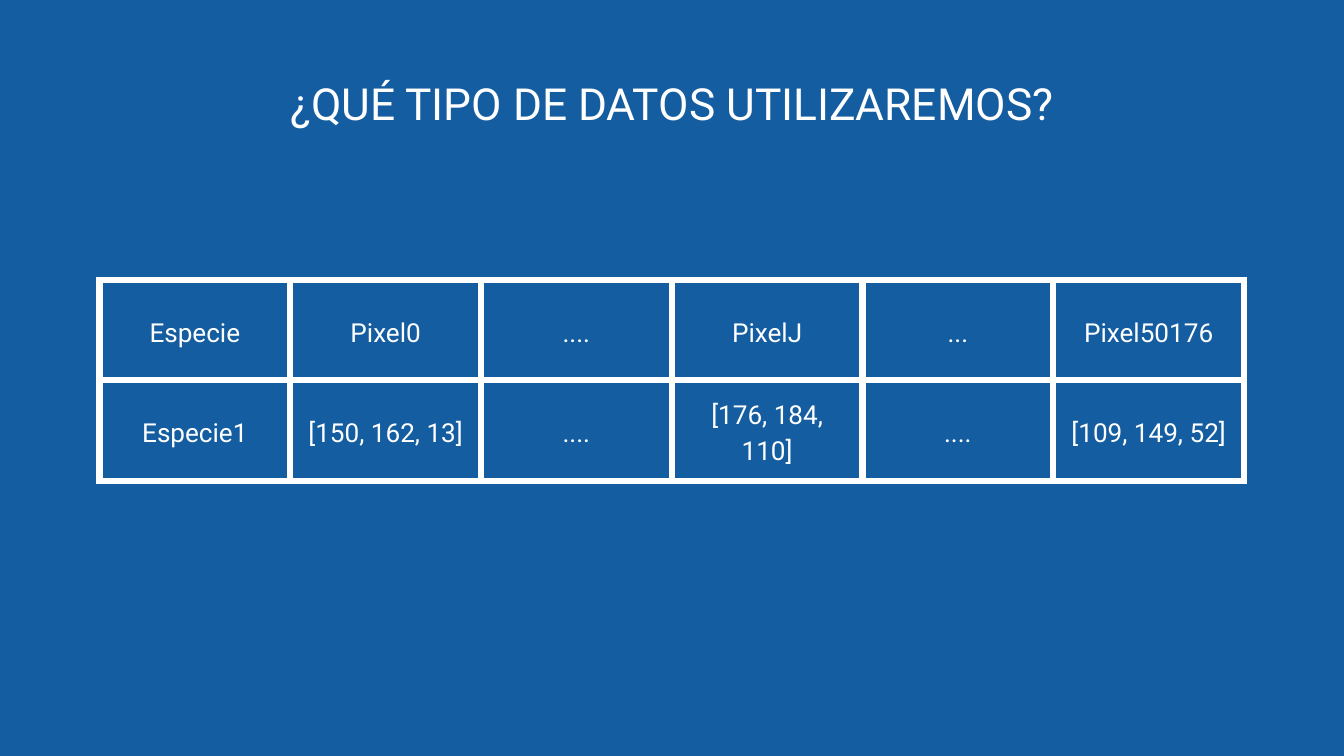
from lxml import etree
from pptx import Presentation
from pptx.dml.color import RGBColor
from pptx.enum.text import MSO_ANCHOR, MSO_AUTO_SIZE, PP_ALIGN
from pptx.oxml.ns import qn
from pptx.util import Cm, Pt

# Content
TITLE = "¿QUÉ TIPO DE DATOS UTILIZAREMOS?"
ROWS = [
    ["Especie", "Pixel0", "....", "PixelJ", "...", "Pixel50176"],
    ["Especie1", "[150, 162, 13]", "....", "[176, 184, 110]", "....", "[109, 149, 52]"],
]

# Style
COLORS = {"background": "145DA0", "foreground": "FFFFFF"}
FONT = "Roboto"
CENTER = PP_ALIGN.CENTER
MIDDLE = MSO_ANCHOR.MIDDLE
FIT_SHAPE = MSO_AUTO_SIZE.SHAPE_TO_FIT_TEXT
COLUMN_WIDTH, ROW_HEIGHT = Cm(7.21), Cm(3.78)
CELL_MARGIN = Cm(0.53)
BORDER_WIDTH = Pt(7.5)


def write_text(text_frame, text, size, line_spacing):
    paragraph = text_frame.paragraphs[0]
    paragraph.alignment = CENTER
    paragraph.line_spacing = Pt(line_spacing)
    run = paragraph.add_run()
    run.text = text
    run.font.name = FONT
    run.font.size = Pt(size)
    run.font.color.rgb = RGBColor.from_string(COLORS["foreground"])


def set_margins(target, margin):
    target.margin_left = target.margin_right = margin
    target.margin_top = target.margin_bottom = margin


def add_borders(cell):
    properties = cell._tc.get_or_add_tcPr()
    for position, side in enumerate(("lnL", "lnR", "lnT", "lnB")):
        line = etree.Element(qn(f"a:{side}"), w=str(int(BORDER_WIDTH)))
        fill = etree.SubElement(line, qn("a:solidFill"))
        etree.SubElement(fill, qn("a:srgbClr"), val=COLORS["foreground"])
        properties.insert(position, line)


# Slide
presentation = Presentation()
presentation.slide_width, presentation.slide_height = Cm(50.8), Cm(28.58)
slide = presentation.slides.add_slide(presentation.slide_layouts[6])
background = slide.background.fill
background.solid()
background.fore_color.rgb = RGBColor.from_string(COLORS["background"])

# Data table
row_count, column_count = len(ROWS), len(ROWS[0])
table = slide.shapes.add_table(
    row_count, column_count, Cm(3.76), Cm(10.59),
    COLUMN_WIDTH * column_count, ROW_HEIGHT * row_count,
).table
table.first_row = table.horz_banding = False
for column in table.columns:
    column.width = COLUMN_WIDTH
for row, texts in zip(table.rows, ROWS):
    row.height = ROW_HEIGHT
    for cell, text in zip(row.cells, texts):
        set_margins(cell, CELL_MARGIN)
        cell.vertical_anchor = MIDDLE
        cell.fill.background()
        add_borders(cell)
        write_text(cell.text_frame, text, 28, 39.2)

# Title
title_frame = slide.shapes.add_textbox(Cm(9.27), Cm(2.9), Cm(32.28), Cm(1.98)).text_frame
title_frame.word_wrap = True
title_frame.auto_size = FIT_SHAPE
set_margins(title_frame, 0)
write_text(title_frame, TITLE, 47.4, 56.9)

presentation.save("out.pptx")
